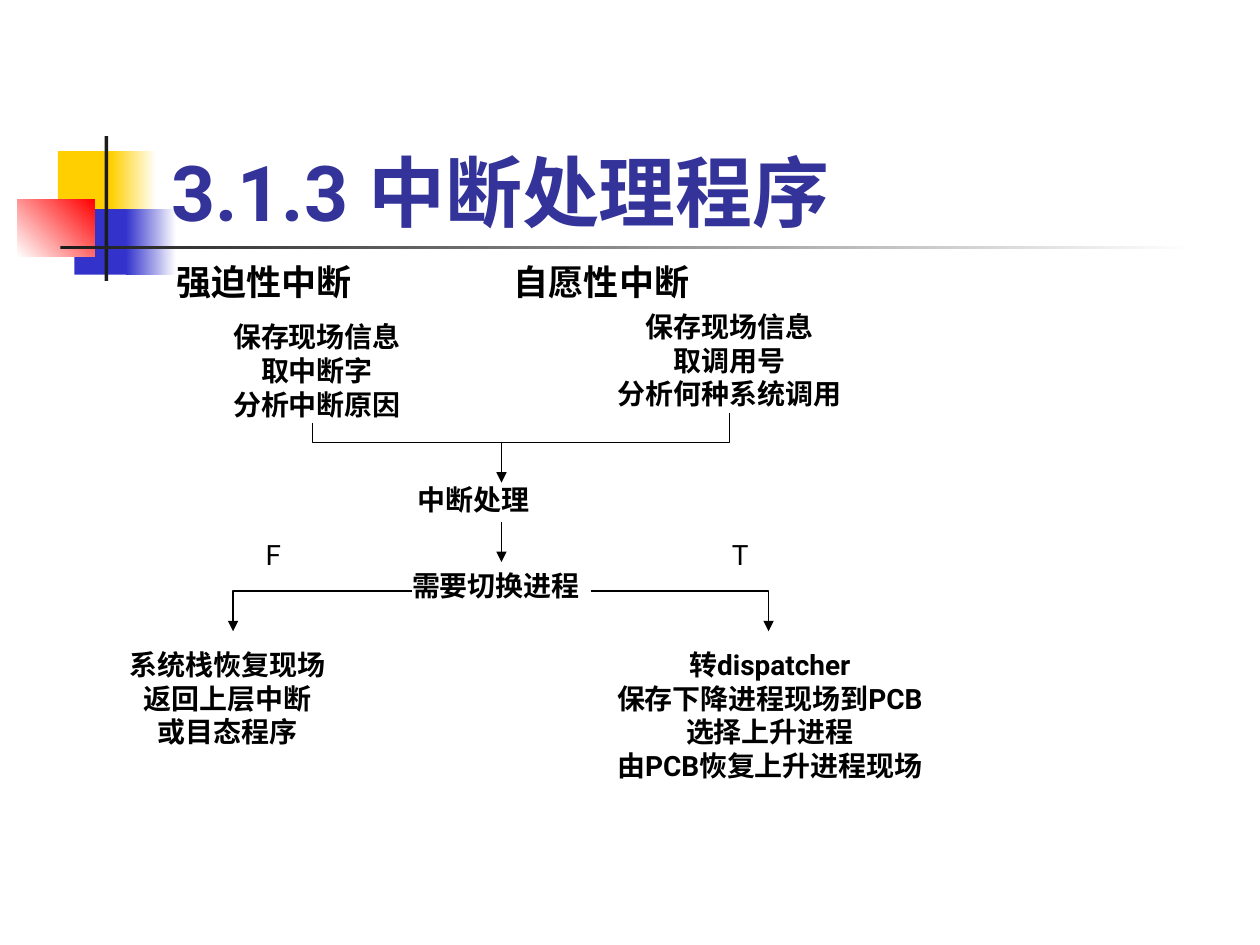
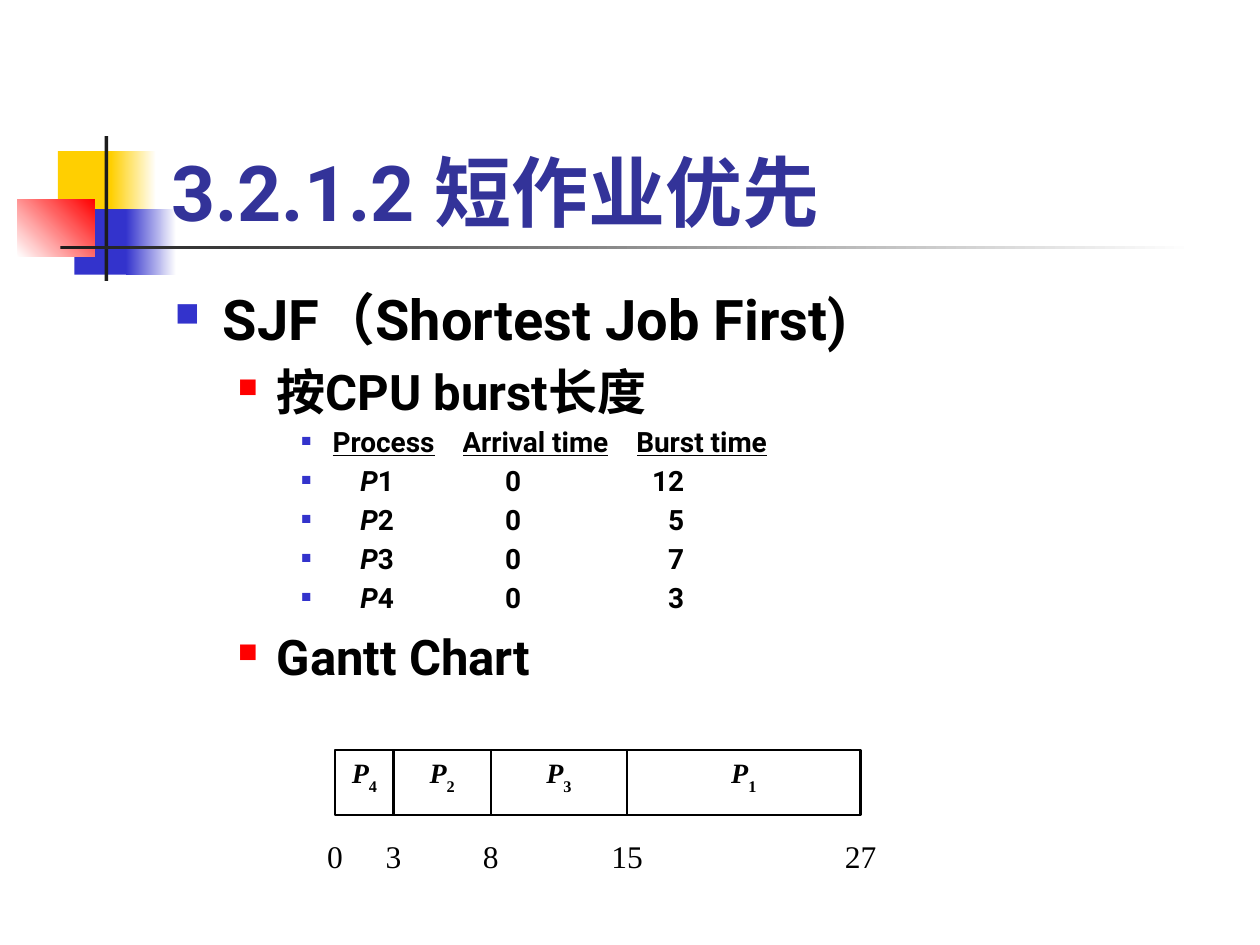
from dataclasses import dataclass
from itertools import accumulate

from lxml.etree import SubElement
from pptx import Presentation
from pptx.dml.color import RGBColor as RGB
from pptx.enum.shapes import MSO_CONNECTOR as LINE, MSO_SHAPE as SHAPE
from pptx.enum.text import MSO_ANCHOR as ANCHOR, PP_ALIGN as ALIGN
from pptx.oxml.ns import qn
from pptx.util import Emu, Inches, Pt

CELL = Inches(0.1)  # the slide is a grid of 100 columns by 75 rows


def grid(*cells):
    return [Emu(round(n * CELL)) for n in cells]


@dataclass(frozen=True)
class Theme:
    font: str = "Roboto"
    serif: str = "Times New Roman"
    title: str = "333399"
    ink: str = "000000"
    paper: str = "FFFFFF"
    dark: str = "1C1C1C"
    blue: str = "3333CC"
    red: str = "FF0000"
    gold: str = "FFCF01"
    huge: int = 44
    large: int = 32
    mid: int = 28
    head: int = 20
    tick: int = 18
    text: int = 16


@dataclass(frozen=True)
class Box:
    x: float
    y: float
    w: float
    h: float

    def area(self, x, y, w, h):
        return Box(self.x + x, self.y + y, w, h)

    def point(self, x, y):
        return self.x + x, self.y + y

    @property
    def emu(self):
        return grid(self.x, self.y, self.w, self.h)


THEME = Theme()
PAGE = Box(0, 0, 100, 75)


def style(para, size, color=THEME.ink, bold=True, font=THEME.font):
    for run in para.runs:
        run.font.name, run.font.size, run.font.bold = font, Pt(size), bold
        run.font.color.rgb = RGB.from_string(color)


def label(slide, box, text, size=THEME.text, bold=True, align=ALIGN.CENTER):
    frame = slide.shapes.add_textbox(*box.emu).text_frame
    frame.word_wrap = True
    frame.text = text
    for para in frame.paragraphs:
        para.alignment = align
        style(para, size, bold=bold)
    return frame


def block(slide, box, fill, fade=None, angle=0):
    """Rectangle without outline; with fade, a gradient from fill to fade."""
    shape = slide.shapes.add_shape(SHAPE.RECTANGLE, *box.emu)
    shape.shadow.inherit = False
    shape.line.fill.background()
    if fade:
        shape.fill.gradient()
        shape.fill.gradient_angle = angle
        for stop, color in zip(shape.fill.gradient_stops, (fill, fade)):
            stop.color.rgb = RGB.from_string(color)
    else:
        shape.fill.solid()
        shape.fill.fore_color.rgb = RGB.from_string(fill)
    return shape


def ink(shape, width=0.75, arrow=False):
    shape.line.color.rgb = RGB.from_string(THEME.ink)
    shape.line.width = Pt(width)
    if arrow:
        line = shape.element.spPr.find(qn("a:ln"))
        SubElement(line, qn("a:tailEnd"), type="triangle")


def bent(slide, points, arrow=False):
    """Open line through the given points."""
    start, *rest = [grid(*point) for point in points]
    pen = slide.shapes.build_freeform(*start)
    pen.add_line_segments(rest, close=False)
    shape = pen.convert_to_shape()
    shape.fill.background()
    shape.shadow.inherit = False
    ink(shape, arrow=arrow)


def drop(slide, x, top, end):
    """Straight arrow pointing down."""
    line = slide.shapes.add_connector(LINE.STRAIGHT, *grid(x, top, x, end))
    ink(line, arrow=True)
    SubElement(line.element.spPr, qn("a:effectLst"))


def motif(slide, box):
    """Coloured squares and crossing rules, moved behind the layout's text."""
    t = THEME
    blocks = [
        ((3.2, 1.2, 4.8, 5.2), t.gold),
        ((7.4, 1.2, 3.6, 5.2), t.gold, t.paper),
        ((4.5, 5.8, 4.6, 5.2), t.blue),
        ((8.6, 5.8, 4, 5.2), t.blue, t.paper),
        ((0, 5, 6.1, 4.6), t.paper, t.red, 45),
        ((6.9, 0, 0.3, 11.5), t.dark),
        ((3.4, 8.7, 90, 0.3), t.dark, t.paper),
    ]
    tree = slide.slide_layout.shapes.element
    for order, (place, *look) in enumerate(blocks, 2):
        tree.insert(order, block(slide, box.area(*place), *look).element)


def titled(deck, text):
    slide = deck.slides.add_slide(deck.slide_layouts[5])
    title = slide.shapes.title
    title.left, title.top, title.width, title.height = PAGE.area(12.6, 6.8, 85.2, 12.5).emu
    frame = title.text_frame
    frame.text = text
    frame.vertical_anchor = ANCHOR.BOTTOM
    frame.paragraphs[0].alignment = ALIGN.LEFT
    style(frame.paragraphs[0], THEME.huge, THEME.title)
    return slide


def flow(slide, box):
    """Interrupt handling: two sources merge, then split at a decision."""
    for x, text in ((4, "强迫性中断"), (30.8, "自愿性中断")):
        label(slide, box.area(x, 0, 18.9, 4.3), text, THEME.head, align=ALIGN.LEFT)
    steps = [
        ((7.9, 4.7, 16.5, 9), "保存现场信息\n取中断字\n分析中断原因"),
        ((37.9, 3.9, 22, 9), "保存现场信息\n取调用号\n分析何种系统调用"),
        ((22.6, 17.6, 12, 3.7), "中断处理"),
        ((22.1, 24.4, 16.5, 3.7), "需要切换进程"),
        ((0, 30.7, 18.1, 9), "系统栈恢复现场\n返回上层中断\n或目态程序"),
        ((37.9, 30.7, 28.4, 11.7),
         "转dispatcher\n保存下降进程现场到PCB\n选择上升进程\n由PCB恢复上升进程现场"),
    ]
    for place, text in steps:
        label(slide, box.area(*place), text)

    merge = ((15.8, 13.4), (15.8, 14.9), (48.9, 14.9), (48.9, 12.6))
    bent(slide, [box.point(*p) for p in merge])
    for top in (14.9, 21.2):
        drop(slide, box.x + 30.8, box.y + top, box.y + top + 3.2)
    for start, end, name, x in ((23.7, 9.5, "F", 11.1), (37.9, 52, "T", 48.1)):
        branch = ((start, 26.7), (end, 26.7), (end, 29.9))
        bent(slide, [box.point(*p) for p in branch], arrow=True)
        label(slide, box.area(x, 22, 3.2, 3.7), name, bold=False, align=ALIGN.LEFT)


def bullet(para, color, share, left, hang):
    props = para._p.get_or_add_pPr()
    props.set("marL", str(Inches(left)))
    props.set("indent", str(-Inches(hang)))
    SubElement(SubElement(props, qn("a:buClr")), qn("a:srgbClr"), val=color)
    SubElement(props, qn("a:buSzPct"), val=str(share * 1000))
    SubElement(props, qn("a:buChar"), char="■")


def outline(slide, box):
    t = THEME
    lines = [
        ("SJF（Shortest Job First)", t.large, 0, t.blue, 60, 0.38, 0.38),
        ("按CPU burst长度", t.mid, 5.6, t.red, 55, 0.81, 0.31),
        ("Gantt Chart", t.mid, 118, t.red, 55, 0.81, 0.31),
    ]
    frame = label(slide, box, "\n".join(line[0] for line in lines), align=ALIGN.LEFT)
    for para, (_, size, gap, *mark) in zip(frame.paragraphs, lines):
        para.space_before = Pt(gap)
        style(para, size)
        bullet(para, *mark)


def jobs(slide, box):
    """Table of processes, with a bullet before each row."""
    rows = [("Process", "Arrival time", "Burst time"), ("P1", 0, 12),
            ("P2", 0, 5), ("P3", 0, 7), ("P4", 0, 3)]
    table = slide.shapes.add_table(len(rows), 3, *box.emu).table
    table.first_row = table.horz_banding = False
    for col, width in zip(table.columns, grid(12.8, 13.8, 12)):
        col.width = width
    for r, row in enumerate(rows):
        for c, value in enumerate(row):
            cell = table.cell(r, c)
            cell.fill.background()
            cell.vertical_anchor = ANCHOR.MIDDLE
            cell.margin_left = cell.margin_right = 0
            cell.margin_top = cell.margin_bottom = 0
            para = cell.text_frame.paragraphs[0]
            para.text = str(value)
            if r and c == 0:
                para.text = value[0]
                para.add_run().text = value[1]
                para.runs[0].font.italic = True
            elif r and c == 1:
                cell.margin_left = Inches(0.34)
            elif r:
                para.alignment = ALIGN.RIGHT
                cell.margin_right = Inches(0.82)
            else:
                para.runs[0].font.underline = True
            style(para, THEME.text)
            if c == 0:
                hang = 0.47 if r else 0.25
                bullet(para, THEME.blue, 50, hang, hang)


def gantt(slide, box):
    """Bar of jobs as wide as their bursts, with end times below."""
    bursts = {"4": 3, "2": 5, "3": 7, "1": 12}
    times = list(accumulate(bursts.values(), initial=0))
    unit = box.w / times[-1]
    for (job, burst), start in zip(bursts.items(), times):
        bar = block(slide, box.area(start * unit, 0, burst * unit, box.h), THEME.paper)
        ink(bar, 1.25)
        frame = bar.text_frame
        frame.vertical_anchor = ANCHOR.TOP
        frame.word_wrap = False
        para = frame.paragraphs[0]
        para.text = "P"
        para.alignment = ALIGN.CENTER
        para.add_run().text = job
        style(para, THEME.text, font=THEME.serif)
        name, index = para.runs
        name.font.italic = True
        index._r.get_or_add_rPr().set("baseline", "-30000")
    for time in times:
        frame = label(slide, box.area(time * unit - 2.5, box.h + 1.2, 5, 3.6), str(time))
        style(frame.paragraphs[0], THEME.tick, bold=False, font=THEME.serif)


def main():
    deck = Presentation()
    deck.slide_width, deck.slide_height = grid(PAGE.w, PAGE.h)

    first = titled(deck, "3.1.3 中断处理程序")
    motif(first, PAGE.area(1.4, 10.8, 93.4, 11.5))
    flow(first, PAGE.area(9, 20.2, 66.3, 42.4))

    second = titled(deck, "3.2.1.2 短作业优先")
    outline(second, PAGE.area(12.9, 22.1, 85, 45))
    jobs(second, PAGE.area(23.9, 33.6, 38.6, 15.5))
    gantt(second, PAGE.area(26.6, 59.5, 41.7, 5.2))

    deck.save("out.pptx")


if __name__ == "__main__":
    main()
